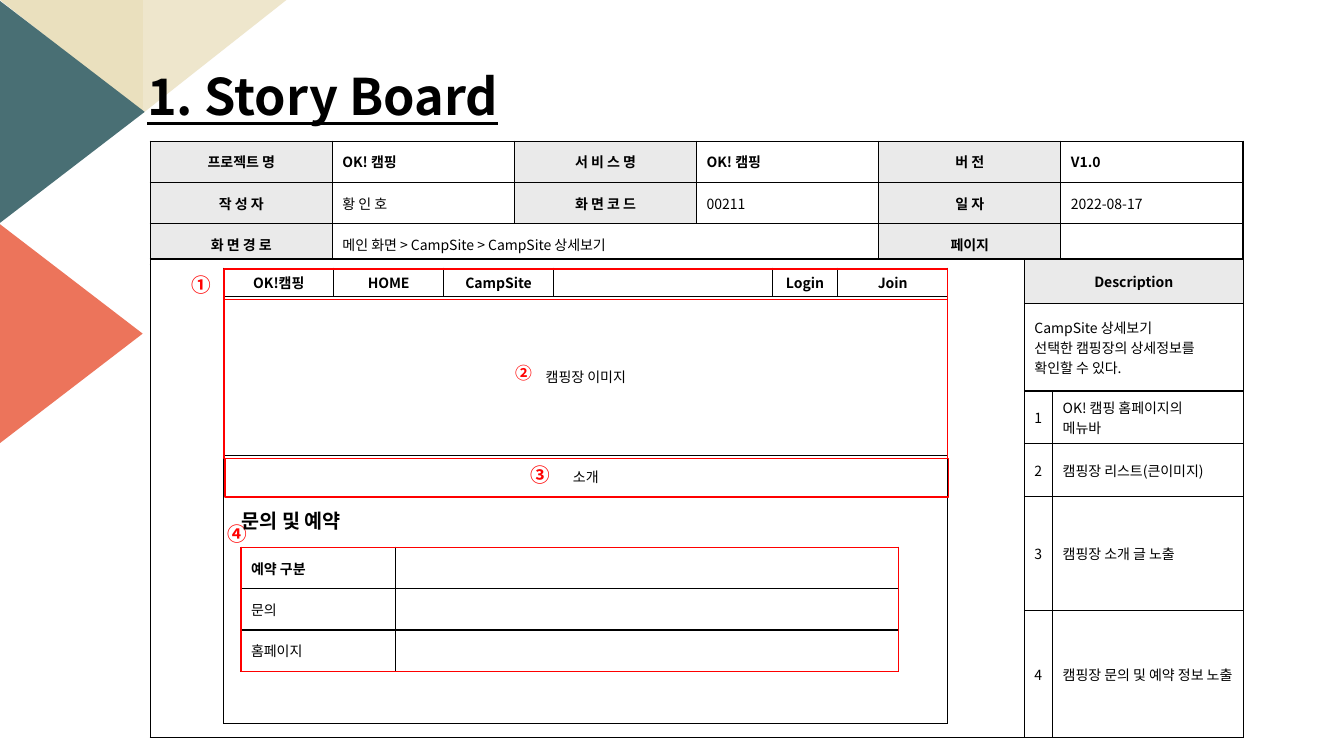
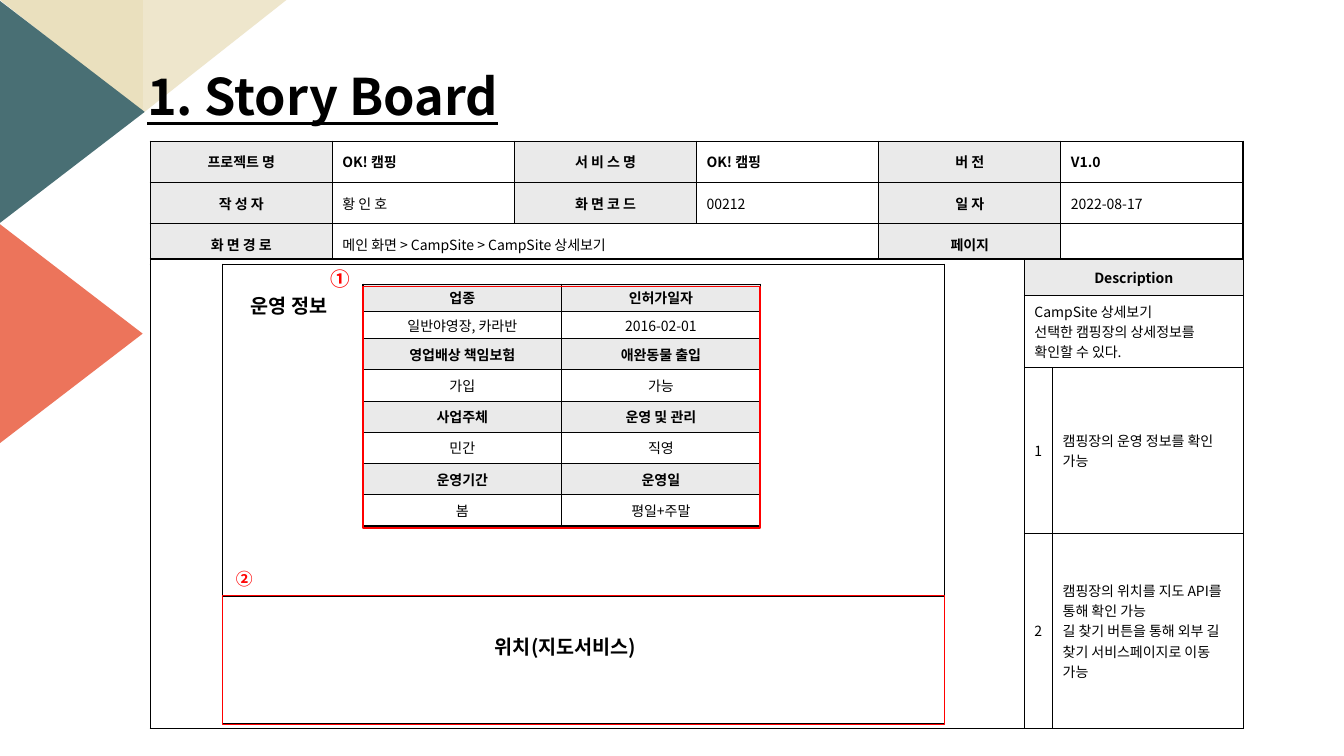
from dataclasses import dataclass

from lxml.etree import SubElement
from pptx import Presentation
from pptx.dml.color import RGBColor
from pptx.enum.shapes import MSO_SHAPE as Preset
from pptx.enum.text import MSO_ANCHOR as Anchor, MSO_AUTO_SIZE as AutoSize, PP_ALIGN as Align
from pptx.oxml.ns import qn
from pptx.util import Inches, Pt


@dataclass(frozen=True)
class Theme:
    font: str = "Noto Sans CJK KR"
    ink: str = "000000"
    paper: str = "FFFFFF"
    header: str = "EAEAEA"
    accent: str = "FF0000"
    sand: str = "EAE0BE"
    light_sand: str = "EEE6CC"
    teal: str = "496F74"
    coral: str = "EC745B"
    title_size: int = 36
    heading_size: int = 14
    small_mark_size: int = 12
    table_size: int = 10
    line: float = 1


@dataclass(frozen=True)
class Cell:
    text: str = ""
    bold: bool = False
    center: bool = False
    shaded: bool = False
    rows: int = 1
    columns: int = 1


def head(text, columns=1):
    return Cell(text, bold=True, center=True, shaded=True, columns=columns)


def label(text):
    return Cell(text, bold=True, center=True)


def middle(text, columns=1):
    return Cell(text, center=True, columns=columns)


SERVICE = "OK! 캠핑"
LEFT, WIDTH = 1.49, 10.84


class Storyboard:
    """Holds the deck, its theme and the page being drawn."""

    def __init__(self, theme):
        self.theme = theme
        self.deck = Presentation()
        self.deck.slide_width, self.deck.slide_height = Inches(13.33), Inches(7.5)
        self.layout = self.deck.slide_layouts[5]
        title = self.layout.placeholders[0]
        title.left, title.top, title.width, title.height = map(Inches, (1.36, 0.6, 5.96, 0.71))
        self.page = None

    def add_page(self, title):
        first = self.page is None
        self.page = self.deck.slides.add_slide(self.layout)
        if first:
            self.decorate_layout()
        frame = self.page.shapes.title.text_frame
        frame.auto_size = AutoSize.NONE
        frame.vertical_anchor = Anchor.TOP
        para = frame.paragraphs[0]
        para.alignment = Align.LEFT
        self.span(para, title, self.theme.title_size, bold=True).font.underline = True

    def decorate_layout(self):
        """Draws the corner triangles and hands them to the shared layout."""
        theme = self.theme
        triangles = [
            (Preset.RIGHT_TRIANGLE, (0, 0, 1.42, 1.12), 180, theme.sand, False),
            (Preset.RIGHT_TRIANGLE, (1.42, 0, 1.42, 1.12), 180, theme.light_sand, True),
            (Preset.ISOSCELES_TRIANGLE, (-0.39, 0.39, 2.21, 1.44), 90, theme.teal, False),
            (Preset.ISOSCELES_TRIANGLE, (-0.41, 2.59, 2.21, 1.44), 90, theme.coral, False),
        ]
        for number, (preset, area, turn, color, flipped) in enumerate(triangles, 101):
            shape = self.shape(preset, area)
            shape.rotation = turn
            shape.fill.solid()
            shape.fill.fore_color.rgb = RGBColor.from_string(color)
            shape.line.fill.background()
            if flipped:
                shape.element.spPr.xfrm.set("flipH", "1")
            shape.element.nvSpPr.cNvPr.set("id", str(number))
            self.layout.shapes.element.append(shape.element)

    def shape(self, preset, area):
        shape = self.page.shapes.add_shape(preset, *map(Inches, area))
        shape.shadow.inherit = False
        return shape

    def span(self, para, text, size, bold=False, color=None):
        span = para.add_run()
        span.text = text
        font = span.font
        font.name, font.size, font.bold = self.theme.font, Pt(size), bold
        font.color.rgb = RGBColor.from_string(color or self.theme.ink)
        SubElement(font.latin if hasattr(font, "latin") else span.font._rPr,
                   qn("a:ea"), typeface=self.theme.font)
        return span

    def text(self, text, area, size=None, color=None):
        box = self.page.shapes.add_textbox(*map(Inches, area))
        box.text_frame.word_wrap = True
        self.span(box.text_frame.paragraphs[0], text, size or self.theme.heading_size, True, color)

    def mark(self, symbol, left, top, small=False):
        size = self.theme.small_mark_size if small else self.theme.heading_size
        width, height = (0.3, 0.3) if small else (0.42, 0.34)
        self.text(symbol, (left, top, width, height), size, self.theme.accent)

    def outline(self, *area):
        shape = self.shape(Preset.RECTANGLE, area)
        shape.fill.background()
        shape.line.color.rgb = RGBColor.from_string(self.theme.accent)
        shape.line.width = Pt(self.theme.line)

    def table(self, left, top, columns, rows, content):
        """Draws rows of cells; None stands for a place covered by a merged cell."""
        area = map(Inches, (left, top, sum(columns), sum(rows)))
        table = self.page.shapes.add_table(len(rows), len(columns), *area).table
        table.first_row = table.horz_banding = False
        for column, width in zip(table.columns, columns):
            column.width = Inches(width)
        for row, height in zip(table.rows, rows):
            row.height = Inches(height)
        for r, line in enumerate(content):
            for c, item in enumerate(line):
                self.fill_cell(table.cell(r, c), item or Cell())
                if item and item.rows * item.columns > 1:
                    table.cell(r, c).merge(table.cell(r + item.rows - 1, c + item.columns - 1))

    def fill_cell(self, cell, item):
        theme = self.theme
        cell.vertical_anchor = Anchor.MIDDLE
        cell.margin_top = cell.margin_bottom = Inches(0.03)
        properties = cell._tc.get_or_add_tcPr()
        for side in ("a:lnL", "a:lnR", "a:lnT", "a:lnB"):
            border = SubElement(properties, qn(side), w=str(Pt(theme.line)))
            SubElement(SubElement(border, qn("a:solidFill")), qn("a:srgbClr"), val=theme.ink)
        cell.fill.solid()
        cell.fill.fore_color.rgb = RGBColor.from_string(theme.header if item.shaded else theme.paper)
        for number, text in enumerate(item.text.split("\n")):
            frame = cell.text_frame
            para = frame.add_paragraph() if number else frame.paragraphs[0]
            para.alignment = Align.CENTER if item.center else Align.LEFT
            if text:
                self.span(para, text, theme.table_size, item.bold)
            else:
                SubElement(para._p, qn("a:endParaRPr"), sz=str(theme.table_size * 100))

    def project_table(self, code):
        self.table(LEFT, 1.4, [WIDTH / 6] * 6, [0.41] * 3, [
            [head("프로젝트 명"), Cell(SERVICE, bold=True), head("서 비 스 명"),
             Cell(SERVICE, bold=True), head("버 전"), Cell("V1.0", bold=True)],
            [head("작 성 자"), Cell("황 인 호"), head("화 면 코 드"), Cell(code),
             head("일 자"), Cell("2022-08-17")],
            [head("화 면 경 로"), Cell("메인 화면 > CampSite > CampSite 상세보기", columns=3),
             None, None, head("페이지"), Cell()],
        ])

    def description_table(self, rows, notes):
        summary = "CampSite 상세보기\n선택한 캠핑장의 상세정보를 확인할 수 있다."
        content = [[Cell(rows=len(rows)), head("Description", columns=2), None],
                   [None, Cell(summary, columns=2), None]]
        content += [[None, Cell(str(number)), Cell(note)] for number, note in enumerate(notes, 1)]
        self.table(LEFT, 2.57, [8.67, 0.28, 1.89], rows, content)

    def start_screen(self, code, rows, notes):
        self.add_page("1. Story Board")
        self.project_table(code)
        self.description_table(rows, notes)


def draw_detail_screen(board):
    board.start_screen("00211", [0.44, 0.87, 0.52, 0.53, 1.13, 1.26], [
        f"{SERVICE} 홈페이지의\n메뉴바",
        "캠핑장 리스트(큰이미지)",
        "캠핑장 소개 글 노출",
        "캠핑장 문의 및 예약 정보 노출",
    ])
    covered = [None] * 5
    board.table(2.22, 2.66, [1.09, 1.09, 1.09, 2.17, 0.65, 1.09], [0.28, 1.58, 0.41, 2.25], [
        [label(SERVICE.replace(" ", "")), label("HOME"), label("CampSite"), Cell(),
         label("Login"), label("Join")],
        [middle("캠핑장 이미지", columns=6), *covered],
        [middle("소개", columns=6), *covered],
        [Cell(columns=6), *covered],
    ])
    board.mark("①", 1.8, 2.66)
    board.mark("②", 5.01, 3.55, small=True)
    board.mark("③", 5.16, 4.54)
    board.outline(2.22, 2.67, 7.18, 0.3)
    board.mark("④", 2.16, 5.13)
    board.table(2.39, 5.43, [1.53, 4.99], [0.41] * 3, [
        [Cell("예약 구분", bold=True), Cell()],
        [Cell("문의"), Cell()],
        [Cell("홈페이지"), Cell()],
    ])
    board.text("문의 및 예약", (2.3, 5, 2.16, 0.34))
    board.outline(2.22, 2.97, 7.18, 1.58)
    board.outline(2.23, 4.55, 7.18, 0.38)
    board.outline(2.39, 5.43, 6.52, 1.23)


def draw_operation_screen(board):
    board.start_screen("00212", [0.36, 0.72, 1.64, 1.94], [
        "캠핑장의 운영 정보를 확인 가능",
        "캠핑장의 위치를 지도 API를 통해 확인 가능\n"
        "길 찾기 버튼을 통해 외부 길 찾기 서비스페이지로 이동 가능",
    ])
    board.table(2.21, 2.62, [7.16], [3.3, 1.26], [[Cell()], [Cell()]])
    board.mark("①", 3.18, 2.6)
    board.mark("②", 2.24, 5.59, small=True)
    facts = [
        (("업종", "인허가일자"), ("일반야영장, 카라반", "2016-02-01")),
        (("영업배상 책임보험", "애완동물 출입"), ("가입", "가능")),
        (("사업주체", "운영 및 관리"), ("민간", "직영")),
        (("운영기간", "운영일"), ("봄", "평일+주말")),
    ]
    content = []
    for names, values in facts:
        content += [[head(name) for name in names], [middle(value) for value in values]]
    board.table(3.6, 2.82, [1.97] * 2, [0.27] * 2 + [0.31] * 6, content)
    board.text("운영 정보", (2.39, 2.87, 1.14, 0.34))
    board.text("위치(지도서비스)", (4.81, 6.25, 1.94, 0.34))
    board.outline(3.6, 2.84, 3.94, 2.4)
    board.outline(2.21, 5.91, 7.16, 1.28)


def main():
    board = Storyboard(Theme())
    draw_detail_screen(board)
    draw_operation_screen(board)
    board.deck.save("out.pptx")


if __name__ == "__main__":
    main()
